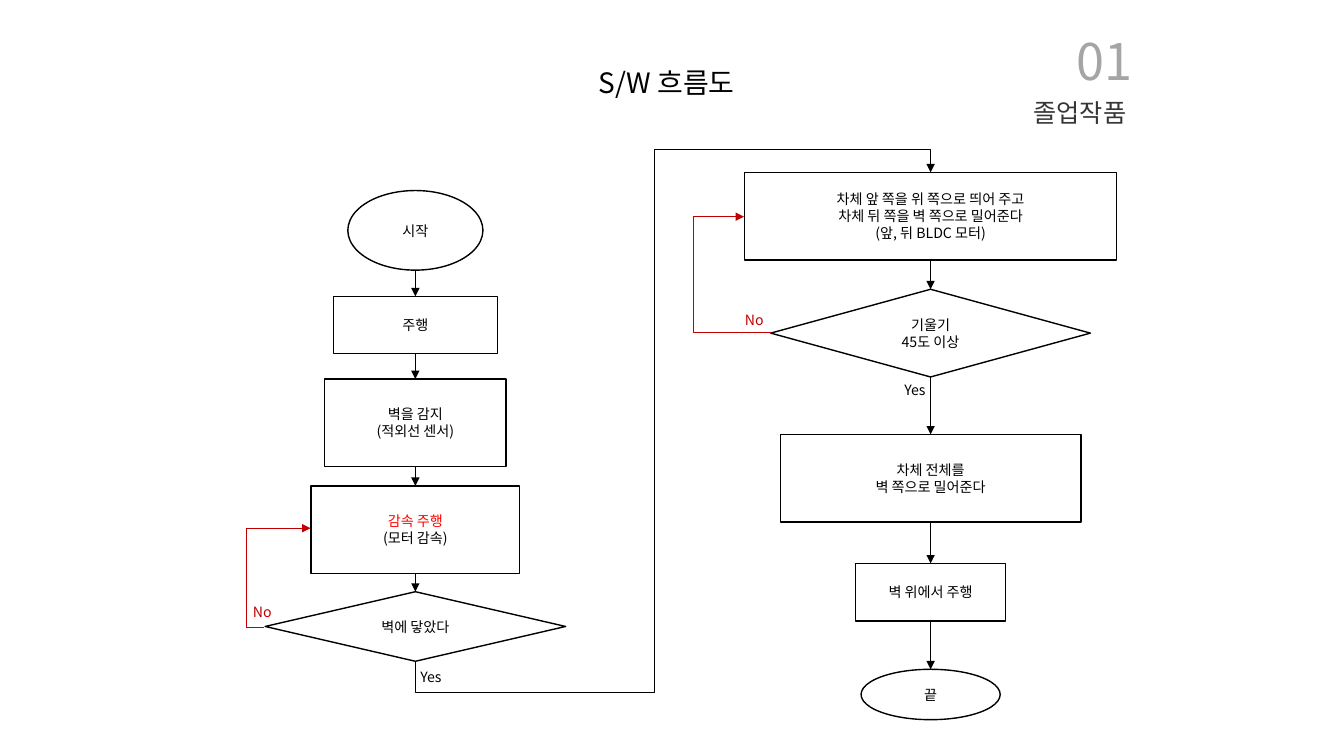
from dataclasses import dataclass

from lxml import etree
from pptx import Presentation
from pptx.dml.color import RGBColor
from pptx.enum.shapes import MSO_CONNECTOR as LINE, MSO_SHAPE as SHAPE
from pptx.enum.text import MSO_ANCHOR as ANCHOR, PP_ALIGN as ALIGN
from pptx.oxml.ns import qn
from pptx.util import Inches, Pt


@dataclass(frozen=True)
class Theme:
    font: str = "Noto Sans CJK KR"
    black: str = "000000"
    white: str = "FFFFFF"
    red: str = "FF0000"
    dark_red: str = "C00000"
    gray: str = "A5A5A5"
    charcoal: str = "363636"
    number: float = 36
    title: float = 20
    section: float = 18
    body: float = 10.1
    outline: float = 1
    arrow: float = 0.5


T = Theme()


def rgb(color):
    return RGBColor.from_string(color)


def add_paragraph(tf, text, first=False, size=T.body, color=T.black, align=ALIGN.LEFT):
    p = tf.paragraphs[0] if first else tf.add_paragraph()
    p.alignment = align
    r = p.add_run()
    r.text = text
    r.font.size = Pt(size)
    r.font.name = T.font
    r.font.color.rgb = rgb(color)
    etree.SubElement(r._r.get_or_add_rPr(), qn("a:ea")).set("typeface", T.font)


def add_label(slide, text, left, top, width, height, wrap=True, **fmt):
    box = slide.shapes.add_textbox(*map(Inches, (left, top, width, height)))
    box.text_frame.word_wrap = wrap
    add_paragraph(box.text_frame, text, first=True, **fmt)


def add_node(slide, kind, cx, top, width, height, lines, first_color=T.black):
    """Flowchart step centred on the column axis cx."""
    sp = slide.shapes.add_shape(
        kind, *map(Inches, (cx - width / 2, top, width, height)))
    sp.shadow.inherit = False
    if kind == SHAPE.RECTANGLE:
        sp.fill.background()
    else:
        sp.fill.solid()
        sp.fill.fore_color.rgb = rgb(T.white)
    sp.line.color.rgb = rgb(T.black)
    sp.line.width = Pt(T.outline)
    tf = sp.text_frame
    tf.word_wrap = True
    tf.vertical_anchor = ANCHOR.MIDDLE
    for i, line in enumerate(lines):
        add_paragraph(tf, line, first=i == 0, align=ALIGN.CENTER,
                      color=T.black if i else first_color)


def add_arrow(slide, start, end, kind=LINE.STRAIGHT, color=T.black):
    c = slide.shapes.add_connector(kind, *map(Inches, (*start, *end)))
    c.line.color.rgb = rgb(color)
    c.line.width = Pt(T.arrow)
    etree.SubElement(c.line._get_or_add_ln(), qn("a:tailEnd")).set("type", "triangle")
    etree.SubElement(c._element.spPr, qn("a:effectLst"))
    return c


def set_bends(connector, preset, bends):
    geom = connector._element.spPr.find(qn("a:prstGeom"))
    geom.set("prst", preset)
    guides = geom.find(qn("a:avLst"))
    if guides is None:
        guides = etree.SubElement(geom, qn("a:avLst"))
    for i, bend in enumerate(bends, 1):
        gd = etree.SubElement(guides, qn("a:gd"))
        gd.set("name", f"adj{i}")
        gd.set("fmla", f"val {round(bend * 100000)}")


def add_loop(slide, start, end, via_x):
    """Red return arrow that runs out to via_x and back."""
    c = add_arrow(slide, start, end, LINE.ELBOW, T.dark_red)
    set_bends(c, "bentConnector3", [(via_x - start[0]) / (end[0] - start[0])])


def add_bridge(slide, start, end, low_y, via_x, high_y):
    """Arrow from the foot of one column up to the head of the next."""
    (x1, y1), (x2, y2) = start, end
    cx, cy = (x1 + x2) / 2, (y1 + y2) / 2
    rise, run = y1 - y2, x2 - x1
    # Drawn on its side, then turned by 90 degrees
    c = add_arrow(slide, (cx + rise / 2, cy + run / 2),
                  (cx - rise / 2, cy - run / 2), LINE.ELBOW)
    c._element.spPr.find(qn("a:xfrm")).set("rot", "5400000")
    set_bends(c, "bentConnector5",
              [(y1 - low_y) / rise, (via_x - x1) / run, (y1 - high_y) / rise])


def add_column(slide, cx, steps):
    """Steps (kind, top, width, height, lines, [colour]) joined by arrows."""
    for kind, top, width, height, *text in steps:
        add_node(slide, kind, cx, top, width, height, *text)
    for (_, top, _, height, *_), (_, next_top, *_) in zip(steps, steps[1:]):
        add_arrow(slide, (cx, top + height), (cx, next_top))


def add_header(slide):
    add_label(slide, "01", 10.58, 0.25, 0.78, 0.71, wrap=False,
              size=T.number, color=T.gray)
    add_label(slide, "졸업작품", 10.06, 0.92, 1.21, 0.4, wrap=False,
              size=T.section, color=T.charcoal, align=ALIGN.RIGHT)
    add_label(slide, "S/W 흐름도", 5.84, 0.6, 1.65, 0.44, size=T.title)


def add_flowchart(slide, left_x, right_x):
    # Approach to the wall
    add_column(slide, left_x, [
        (SHAPE.OVAL, 1.89, 1.34, 0.79, ["시작"]),
        (SHAPE.RECTANGLE, 2.94, 1.63, 0.57, ["주행"]),
        (SHAPE.RECTANGLE, 3.76, 1.8, 0.87, ["벽을 감지", "(적외선 센서)"]),
        (SHAPE.RECTANGLE, 4.82, 2.07, 0.87, ["감속 주행", "(모터 감속)"], T.red),
        (SHAPE.DIAMOND, 5.87, 2.98, 0.69, ["벽에 닿았다"]),
    ])
    # Climb onto the wall
    add_column(slide, right_x, [
        (SHAPE.RECTANGLE, 1.71, 3.69, 0.87,
         ["차체 앞 쪽을 위 쪽으로 띄어 주고", "차체 뒤 쪽을 벽 쪽으로 밀어준다",
          "(앞, 뒤 BLDC 모터)"]),
        (SHAPE.DIAMOND, 2.87, 3.17, 0.87, ["기울기", "45도 이상"]),
        (SHAPE.RECTANGLE, 4.31, 2.98, 0.87, ["차체 전체를", "벽 쪽으로 밀어준다"]),
        (SHAPE.RECTANGLE, 5.59, 1.49, 0.57, ["벽 위에서 주행"]),
        (SHAPE.OVAL, 6.64, 1.38, 0.5, ["끝"]),
    ])
    # Branches of the two decisions
    add_loop(slide, (2.62, 6.22), (3.08, 5.24), via_x=2.44)
    add_loop(slide, (7.65, 3.3), (7.38, 2.15), via_x=6.88)
    add_bridge(slide, (left_x, 6.56), (right_x, 1.71),
               low_y=6.87, via_x=6.49, high_y=1.48)
    for text, left, top, color in [
        ("No", 2.41, 5.94, T.dark_red), ("Yes", 4.07, 6.58, T.black),
        ("No", 7.29, 3.04, T.dark_red), ("Yes", 8.87, 3.73, T.black),
    ]:
        add_label(slide, text, left, top, 0.75, 0.27, color=color)


def main():
    prs = Presentation()
    prs.slide_width, prs.slide_height = Inches(13.33), Inches(7.5)
    slide = prs.slides.add_slide(prs.slide_layouts[6])
    add_header(slide)
    add_flowchart(slide, left_x=4.12, right_x=9.23)
    prs.save("out.pptx")


if __name__ == "__main__":
    main()
